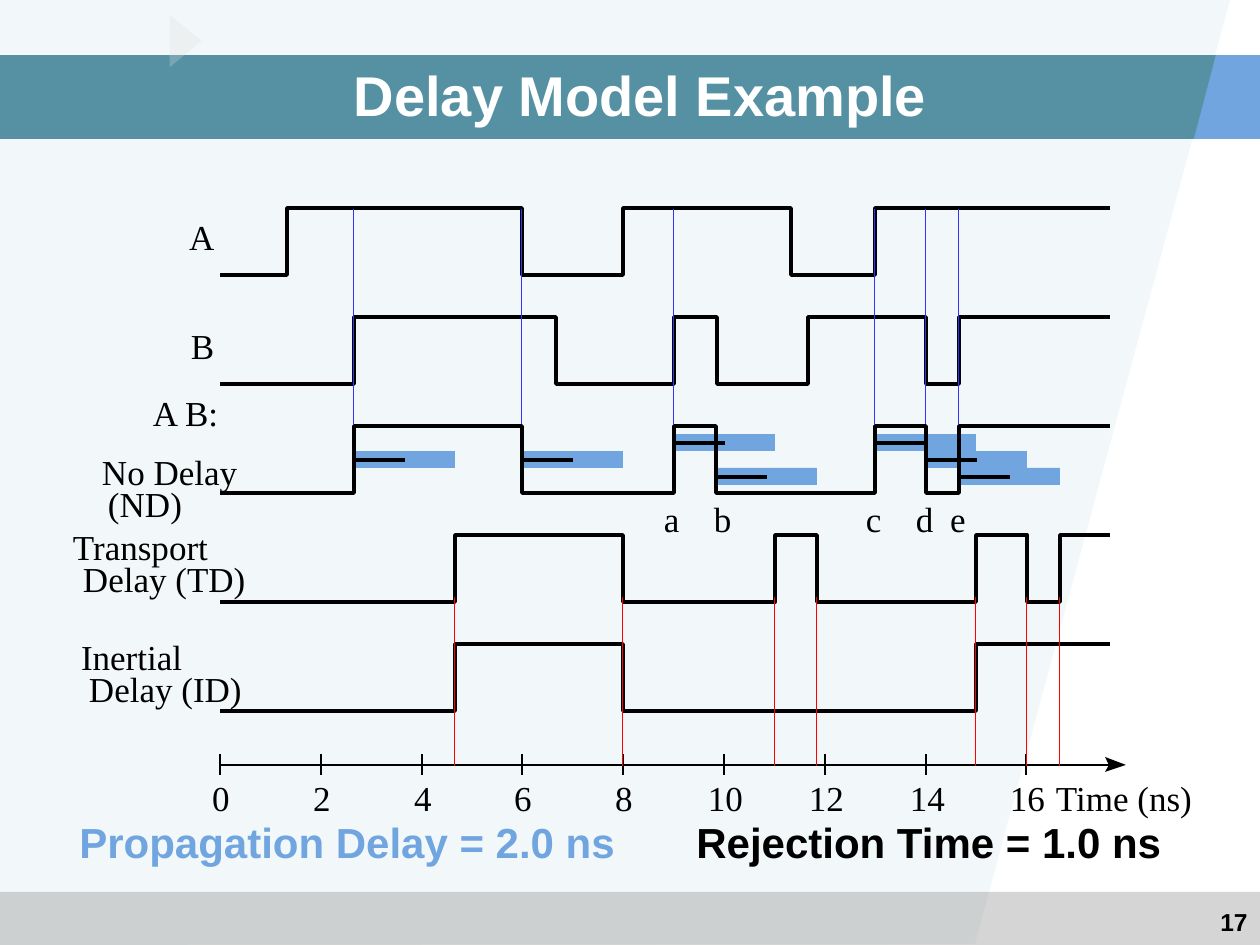
from lxml.etree import SubElement
from pptx import Presentation
from pptx.dml.color import RGBColor
from pptx.enum.shapes import MSO_CONNECTOR, MSO_SHAPE
from pptx.enum.text import MSO_ANCHOR, MSO_AUTO_SIZE, PP_ALIGN
from pptx.oxml.ns import qn
from pptx.util import Emu, Pt

SCALE = 914400 / 126
COLORS = {
    "ink": "000000", "white": "FFFFFF", "bar": "71A5DF", "banner": "26728A",
    "panel": "9FCAD3", "footer": "969696", "arrow": "DDDDDD",
    "input guide": "3333FF", "output guide": "FF0000",
}
START, END, SWING, DELAY, REJECTION = 220, 1110, 67, 101, 49
TICK_GAP = 100.8


def px(length):
    return Emu(round(length * SCALE))


def color(name):
    return RGBColor.from_string(COLORS[name])


class SlideBuilder:
    serif, sans = "Times New Roman", "Arial"

    def __init__(self, page):
        self.page = page
        self.shapes = page.shapes

    def paint(self, shape, fill, opacity=100):
        shape.shadow.inherit = False
        shape.line.fill.background()
        shape.fill.solid()
        shape.fill.fore_color.rgb = color(fill)
        if opacity < 100:
            solid = shape._element.spPr.find(qn("a:solidFill"))
            SubElement(solid[0], qn("a:alpha"), val=str(opacity * 1000))

    def preset(self, kind, left, top, width, height, fill, opacity=100):
        shape = self.shapes.add_shape(kind, px(left), px(top), px(width), px(height))
        self.paint(shape, fill, opacity)
        return shape

    def outline(self, points, closed):
        builder = self.shapes.build_freeform(*points[0], scale=SCALE)
        builder.add_line_segments(points[1:], close=closed)
        return builder.convert_to_shape()

    def polygon(self, points, fill, opacity=100):
        self.paint(self.outline(points, True), fill, opacity)

    def waveform(self, top, edges):
        levels = [top + SWING, top]
        points = [(START, levels[0])]
        for index, edge in enumerate(edges):
            points += [(edge, levels[index % 2]), (edge, levels[(index + 1) % 2])]
        points.append((END, levels[len(edges) % 2]))
        shape = self.outline(points, False)
        shape.shadow.inherit = False
        shape.fill.background()
        shape.line.color.rgb = color("ink")
        shape.line.width = Pt(2)

    def line(self, start, end, width, name="ink"):
        connector = self.shapes.add_connector(
            MSO_CONNECTOR.STRAIGHT, px(start[0]), px(start[1]), px(end[0]), px(end[1]))
        connector.line.color.rgb = color(name)
        connector.line.width = Pt(width)
        SubElement(connector._element.spPr, qn("a:effectLst"))

    def style(self, para, size, name, font, bold=False):
        para.font.size = Pt(size)
        para.font.name = font
        para.font.bold = bold
        if name:
            para.font.color.rgb = color(name)

    def title(self, text, left, top, width, height):
        box = self.shapes.title
        self.shapes.element.append(box.element)
        box.left, box.top, box.width, box.height = px(left), px(top), px(width), px(height)
        frame = box.text_frame
        frame.text = text
        frame.auto_size = MSO_AUTO_SIZE.NONE
        frame.vertical_anchor = MSO_ANCHOR.MIDDLE
        para = frame.paragraphs[0]
        para.alignment = PP_ALIGN.CENTER
        self.style(para, 32, "white", self.sans, True)

    def label(self, text, left, top):
        box = self.shapes.add_textbox(px(left), px(top), px(17 * len(text) + 12), px(42))
        frame = box.text_frame
        frame.word_wrap = False
        frame.margin_left = frame.margin_right = frame.margin_top = frame.margin_bottom = 0
        para = frame.paragraphs[0]
        para.text = text
        self.style(para, 20, "ink", self.serif)

    def page_number(self, text, left, top, width, height):
        box = self.shapes.add_textbox(px(left), px(top), px(width), px(height))
        box.text_frame.word_wrap = True
        para = box.text_frame.paragraphs[0]
        para.text = text
        para.alignment = PP_ALIGN.RIGHT
        self.style(para, 14, "ink", self.sans, True)

    def caption(self, parts, left, top, width, height, tab):
        box = self.shapes.add_textbox(px(left), px(top), px(width), px(height))
        box.text_frame.word_wrap = True
        para = box.text_frame.paragraphs[0]
        tabs = SubElement(para._p.get_or_add_pPr(), qn("a:tabLst"))
        SubElement(tabs, qn("a:tab"), pos=str(px(tab)), algn="l")
        self.style(para, 24, None, self.sans, True)
        for text, name in parts:
            span = para.add_run()
            span.text = text
            span.font.color.rgb = color(name)


def main():
    deck = Presentation()
    deck.slide_width, deck.slide_height = px(1260), px(945)
    slide = SlideBuilder(deck.slides.add_slide(deck.slide_layouts[5]))

    slide.polygon([(0, 0), (1230, 0), (975, 944), (0, 945)], "panel", 13)
    slide.preset(MSO_SHAPE.RECTANGLE, 0, 892, 1260, 53, "footer", 40)
    slide.preset(MSO_SHAPE.RECTANGLE, 0, 55, 1260, 84, "banner", 77)
    slide.polygon([(1216, 55), (1194, 139), (1260, 139), (1260, 55)], "bar")
    triangle = slide.preset(MSO_SHAPE.ISOSCELES_TRIANGLE, 159, 25, 53, 32, "arrow", 27)
    triangle.rotation = 90
    slide.page_number("17", 966, 901, 294, 44)
    slide.title("Delay Model Example", 63, 63, 1155, 63)

    no_delay = [354, 522, 674, 716, 875, 926, 959]
    transport = [edge + DELAY for edge in no_delay]
    inertial = [transport[index] for index in (0, 1, 4)]
    bar_tops = [451, 451, 434, 468, 434, 451, 468]
    for edge, top in zip(no_delay, bar_tops):
        slide.preset(MSO_SHAPE.RECTANGLE, edge, top, DELAY, 17, "bar")
    for edge, top in zip(no_delay, bar_tops):
        slide.line((edge + 2, top + 9), (edge + 2 + REJECTION, top + 9), 2)

    signals = [
        [287, 522, 623, 791, 875],
        [354, 556, 674, 717, 808, 926, 959],
        no_delay, transport, inertial,
    ]
    for row, edges in enumerate(signals):
        slide.waveform(208 + 109 * row, edges)

    slide.line((START, 765), (END, 765), 1)
    slide.polygon([(1109, 765), (1105, 757), (1126, 765), (1105, 772)], "ink")
    for index in range(9):
        tick = round(START + TICK_GAP * index)
        number = str(2 * index)
        slide.line((tick, 775), (tick, 754), 1)
        slide.label(number, tick - 8 * len(number), 776)

    for text, left, top in [
        ("A", 189, 215), ("B", 191, 324), ("A B:", 153, 391),
        ("No Delay", 102, 450), ("(ND)", 108, 482),
        ("Transport", 73, 526), ("Delay (TD)", 83, 557),
        ("Inertial", 81, 635), ("Delay (ID)", 89, 667),
        ("a", 664, 497), ("b", 714, 497), ("c", 866, 497),
        ("d", 916, 497), ("e", 950, 497), ("Time (ns)", 1056, 776),
    ]:
        slide.label(text, left, top)

    slide.caption([("Propagation Delay = 2.0 ns", "bar"),
                   ("\tRejection Time = 1.0 ns", "ink")], 67, 810, 1131, 63, 617)

    for edge in no_delay[:3] + no_delay[4:]:
        slide.line((edge - 1, 424), (edge - 1, 209), 0.14, "input guide")
    for edge in transport:
        slide.line((edge - 1, 597), (edge - 1, 766), 0.14, "output guide")

    deck.save("out.pptx")


if __name__ == "__main__":
    main()
